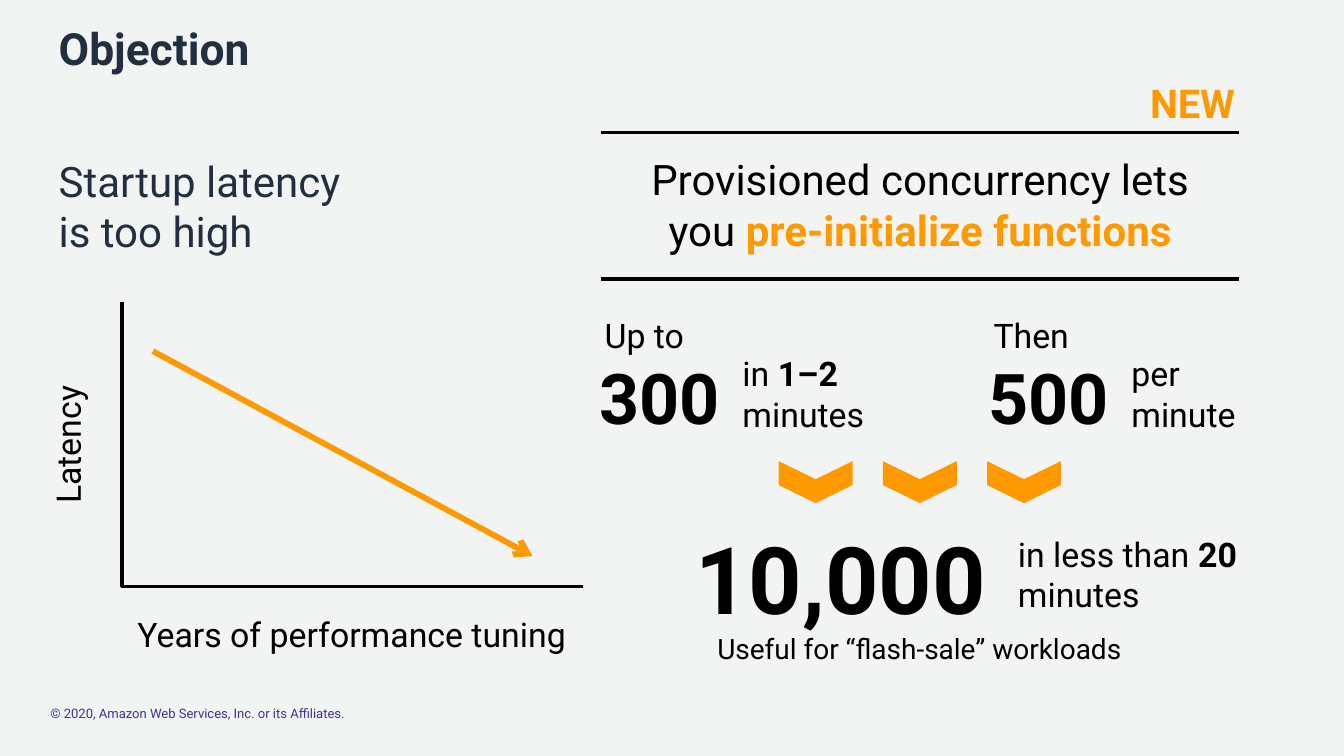
from typing import NamedTuple

from lxml import etree
from pptx import Presentation
from pptx.dml.color import RGBColor
from pptx.enum.shapes import MSO_CONNECTOR, MSO_SHAPE
from pptx.enum.text import PP_ALIGN
from pptx.oxml.ns import qn
from pptx.util import Inches, Pt

STRAIGHT = MSO_CONNECTOR.STRAIGHT
CHEVRON = MSO_SHAPE.CHEVRON
LEFT, CENTER, RIGHT = PP_ALIGN.LEFT, PP_ALIGN.CENTER, PP_ALIGN.RIGHT

FONT = "Roboto"
COLORS = {
    "background": "F2F3F3",
    "navy": "232F3E",
    "black": "000000",
    "orange": "FF9900",
    "purple": "3C3399",
}


class Span(NamedTuple):
    text: str
    bold: bool = False
    color: str = "black"


class Label(NamedTuple):
    left: float
    top: float
    width: float
    height: float
    size: float
    lines: list[list[Span]]
    align: PP_ALIGN = LEFT
    rotation: int = 0
    inset: bool = True


class Line(NamedTuple):
    start: tuple[float, float]
    end: tuple[float, float]
    color: str = "black"
    weight: float = 3
    arrow: bool = False


def rgb(name: str) -> RGBColor:
    return RGBColor.from_string(COLORS[name])


def draw_label(page, label: Label) -> None:
    box = page.shapes.add_textbox(
        Inches(label.left), Inches(label.top), Inches(label.width), Inches(label.height)
    )
    box.rotation = label.rotation
    frame = box.text_frame
    frame.word_wrap = True
    if not label.inset:
        frame.margin_left = frame.margin_right = 0
        frame.margin_top = frame.margin_bottom = 0
    para = frame.paragraphs[0]
    para.alignment = label.align
    for index, line in enumerate(label.lines):
        if index:
            para.add_line_break()
        for span in line:
            run = para.add_run()
            run.text = span.text
            run.font.name = FONT
            run.font.size = Pt(label.size)
            run.font.bold = span.bold
            run.font.color.rgb = rgb(span.color)


def draw_line(page, line: Line) -> None:
    connector = page.shapes.add_connector(
        STRAIGHT, *(Inches(value) for value in line.start + line.end)
    )
    connector.line.color.rgb = rgb(line.color)
    connector.line.width = Pt(line.weight)
    if line.arrow:
        etree.SubElement(connector.line._get_or_add_ln(), qn("a:tailEnd"), type="arrow")
    etree.SubElement(connector._element.spPr, qn("a:effectLst"))


def draw_chevron(page, left: float) -> None:
    chevron = page.shapes.add_shape(
        CHEVRON, Inches(left), Inches(5.3), Inches(0.5), Inches(0.88)
    )
    chevron.rotation = 90
    chevron.adjustments[0] = 0.43
    chevron.shadow.inherit = False
    chevron.fill.solid()
    chevron.fill.fore_color.rgb = rgb("orange")
    chevron.line.fill.background()


def rate_labels(left: float, intro: str, count: str, unit: list[list[Span]]) -> list[Label]:
    return [
        Label(left + 0.06, 3.7, 2.04, 0.58, 29, [[Span(intro)]]),
        Label(left, 4.17, 2.67, 1.04, 60, [[Span(count, True)]]),
        Label(left + 1.7, 4.15, 1.91, 1.04, 29, unit),
    ]


LABELS = [
    Label(0.6, 8.4, 7.78, 0.19, 11.2,
          [[Span("© 2020, Amazon Web Services, Inc. or its Affiliates.", color="purple")]],
          inset=False),
    Label(0.6, 0.2, 14.78, 0.95, 38, [[Span("Objection", True, "navy")]]),
    Label(0.6, 1.8, 6.3, 1.4, 36,
          [[Span("Startup latency", color="navy")], [Span("is too high", color="navy")]]),
    Label(7.53, 1.78, 6.85, 1.35, 36,
          [[Span("Provisioned concurrency lets you "),
            Span("pre-initialize functions", True, "orange")]], CENTER),
    Label(13.21, 0.89, 1.59, 0.61, 34, [[Span("NEW", True, "orange")]], RIGHT),
    *rate_labels(7.04, "Up to", "300", [[Span("in "), Span("1–2", True)], [Span("minutes")]]),
    *rate_labels(11.67, "Then", "500", [[Span("per")], [Span("minute")]]),
    Label(8.18, 6.15, 4.29, 1.04, 80, [[Span("10,000", True)]]),
    Label(12.02, 6.3, 3, 1.04, 29,
          [[Span("in less than "), Span("20", True)], [Span("minutes")]]),
    Label(7.77, 7.47, 6.35, 0.56, 24, [[Span("Useful for “flash-sale” workloads")]], CENTER),
    Label(-0.21, 4.9, 2.23, 0.79, 29, [[Span("Latency")]], CENTER, 270),
    Label(1.44, 7.26, 5.5, 0.56, 29, [[Span("Years of performance tuning")]], CENTER),
]

LINES = [
    Line((7.15, 1.58), (14.75, 1.58)),
    Line((7.15, 3.32), (14.75, 3.32)),
    Line((1.44, 6.98), (6.94, 6.98)),
    Line((1.45, 6.99), (1.45, 3.59)),
    Line((1.82, 4.18), (6.34, 6.62), "orange", 5, True),
]


def main() -> None:
    deck = Presentation()
    deck.slide_width, deck.slide_height = Inches(16), Inches(9)
    page = deck.slides.add_slide(deck.slide_layouts[6])
    page.background.fill.solid()
    page.background.fill.fore_color.rgb = rgb("background")
    for label in LABELS:
        draw_label(page, label)
    for line in LINES:
        draw_line(page, line)
    for index in range(3):
        draw_chevron(page, 9.46 + 1.24 * index)
    deck.save("out.pptx")


if __name__ == "__main__":
    main()
